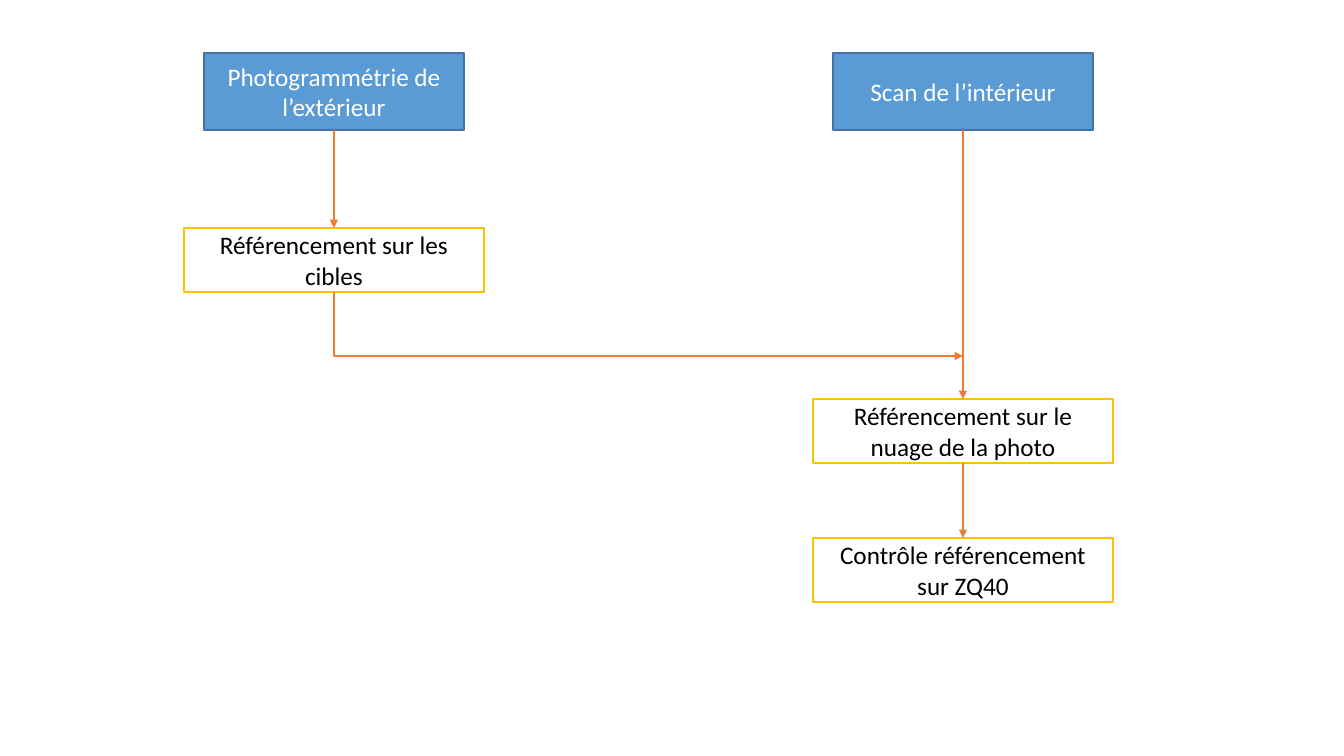
"""Builds the flowchart of the exterior and interior survey workflow."""
from lxml import etree
from pptx import Presentation
from pptx import util as u
from pptx.dml.color import RGBColor
from pptx.enum import shapes, text
from pptx.oxml.ns import qn

COLOURS = {"blue": "5B9BD5", "navy": "43739E", "white": "FFFFFF",
           "gold": "FFC000", "black": "000000", "orange": "ED7D31"}
KINDS = {
    "source": {"size": (260, 77), "fill": "blue", "line": "navy", "font": "white"},
    "step": {"size": (300, 64), "fill": "white", "line": "gold", "font": "black"},
}
EXTERIOR, INTERIOR = 334, 963
STEPS = {
    "photogrammetry": ("Photogrammétrie de l’extérieur", "source", EXTERIOR, 53),
    "targets": ("Référencement sur les cibles", "step", EXTERIOR, 228),
    "scan": ("Scan de l’intérieur", "source", INTERIOR, 53),
    "cloud": ("Référencement sur le nuage de la photo", "step", INTERIOR, 399),
    "control": ("Contrôle référencement sur ZQ40", "step", INTERIOR, 538),
}
FLOWS = [("photogrammetry", "targets"), ("scan", "cloud"), ("cloud", "control")]
MERGE_Y = 356
BOTTOM, TOP = 2, 0


def px(length):
    return u.Emu(round(length * 914400 / 100.8))


def colour(name):
    return RGBColor.from_string(COLOURS[name])


def add_step(slide, label, kind, centre, top):
    style = KINDS[kind]
    width, height = style["size"]
    step = slide.shapes.add_shape(shapes.MSO_SHAPE.RECTANGLE, px(centre - width / 2),
                                  px(top), px(width), px(height))
    step.shadow.inherit = False
    step.fill.solid()
    step.fill.fore_color.rgb = colour(style["fill"])
    step.line.color.rgb = colour(style["line"])
    step.line.width = u.Pt(1)
    frame = step.text_frame
    frame.word_wrap = True
    frame.vertical_anchor = text.MSO_ANCHOR.MIDDLE
    frame.text = label
    paragraph = frame.paragraphs[0]
    paragraph.alignment = text.PP_ALIGN.CENTER
    font = paragraph.runs[0].font
    font.name, font.size = "Calibri", u.Pt(18)
    font.color.rgb = colour(style["font"])
    return step


def add_arrow(slide, kind, start=(0, 0), end=(0, 0)):
    arrow = slide.shapes.add_connector(kind, *map(px, start + end))
    arrow.line.color.rgb = colour("orange")
    arrow.line.width = u.Pt(1)
    etree.SubElement(arrow.line._get_or_add_ln(), qn("a:tailEnd"), type="triangle")
    etree.SubElement(arrow._element.spPr, qn("a:effectLst"))
    return arrow


def add_merge(slide, start, end):
    half_across, half_down = (end[0] - start[0]) / 2, (end[1] - start[1]) / 2
    x, y = start[0] + half_across, start[1] + half_down
    merge = add_arrow(slide, shapes.MSO_CONNECTOR.ELBOW,
                      (x + half_down, y - half_across), (x - half_down, y + half_across))
    properties = merge._element.spPr
    properties.find(qn("a:xfrm")).set("rot", str(270 * 60000))
    properties.find(qn("a:prstGeom")).set("prst", "bentConnector2")


deck = Presentation()
deck.slide_width, deck.slide_height = px(1344), px(756)
slide = deck.slides.add_slide(deck.slide_layouts[6])

steps = {name: add_step(slide, *details) for name, details in STEPS.items()}
for before, after in FLOWS:
    arrow = add_arrow(slide, shapes.MSO_CONNECTOR.STRAIGHT)
    arrow.begin_connect(steps[before], BOTTOM)
    arrow.end_connect(steps[after], TOP)

targets_bottom = STEPS["targets"][3] + KINDS["step"]["size"][1]
add_merge(slide, (EXTERIOR, targets_bottom), (INTERIOR, MERGE_Y))

deck.save("out.pptx")
